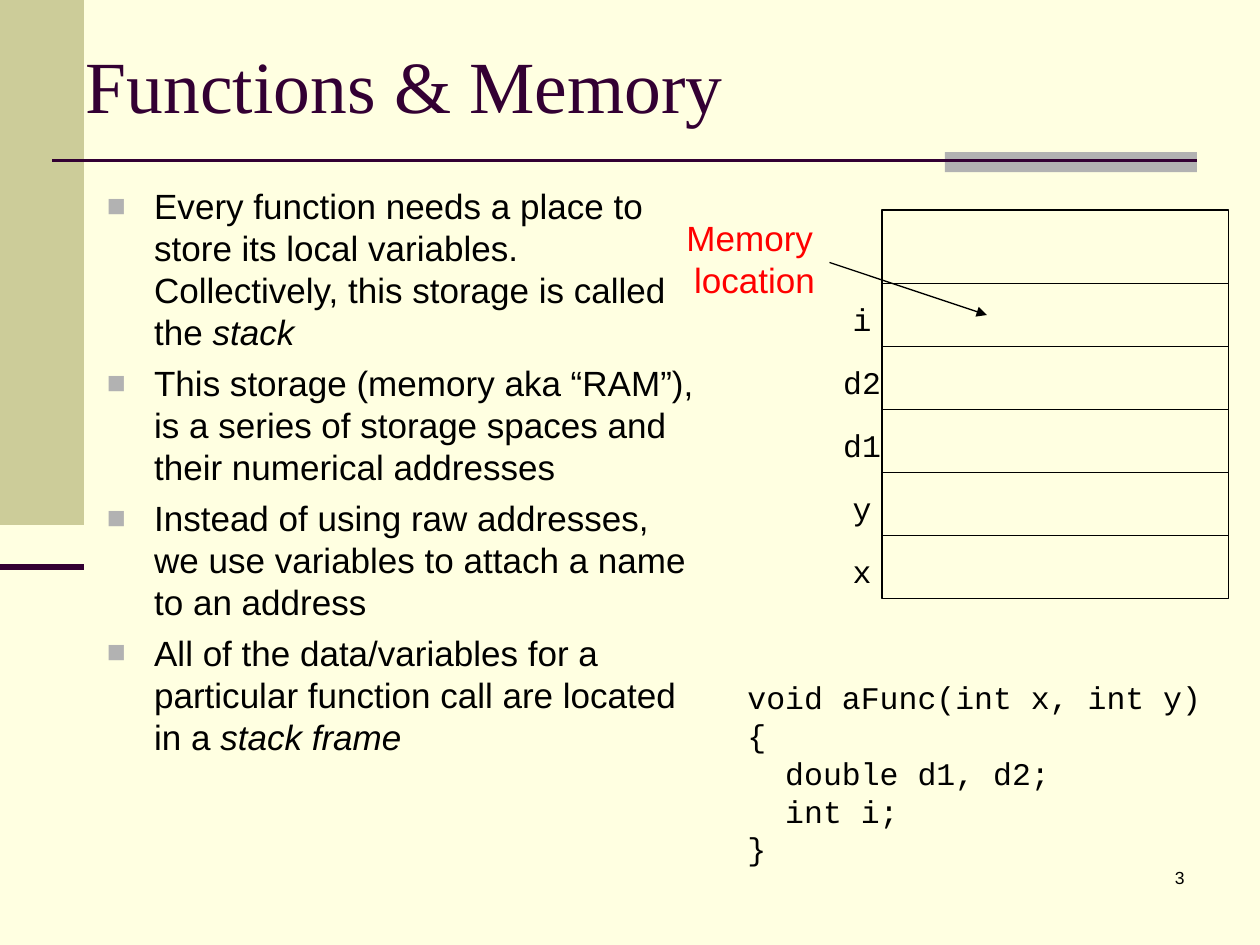
from lxml import etree
from pptx import Presentation
from pptx.dml.color import RGBColor
from pptx.enum.shapes import MSO_CONNECTOR, MSO_SHAPE
from pptx.enum.text import MSO_ANCHOR, PP_ALIGN
from pptx.oxml.ns import qn
from pptx.util import Pt

LEFT, CENTER, RIGHT = PP_ALIGN.LEFT, PP_ALIGN.CENTER, PP_ALIGN.RIGHT
MIDDLE = MSO_ANCHOR.MIDDLE
RECTANGLE, STRAIGHT = MSO_SHAPE.RECTANGLE, MSO_CONNECTOR.STRAIGHT

PX = 7620  # 120 px to the inch
THEME = {
    "background": "FFFFE1", "band": "CCCC99", "accent": "B2B2B2",
    "plum": "330033", "ink": "000000",
    "title": {"name": "Times New Roman", "size": 42, "color": "330033"},
    "body": {"name": "Arial", "size": 20, "color": "000000"},
    "callout": {"name": "Arial", "size": 20, "color": "FF0000"},
    "code": {"name": "Courier New", "size": 18, "color": "000000"},
    "number": {"name": "Arial", "size": 10, "color": "000000"},
}

prs = Presentation()
prs.slide_width, prs.slide_height = 1200 * PX, 900 * PX
slide = prs.slides.add_slide(prs.slide_layouts[6])
slide.background.fill.solid()
slide.background.fill.fore_color.rgb = RGBColor.from_string(THEME["background"])


def add_text(box, paragraphs, style, align=LEFT, wrap=True):
    """Add a text box; each paragraph is a list of (text, italic) runs."""
    frame = slide.shapes.add_textbox(*(v * PX for v in box)).text_frame
    frame.word_wrap = wrap
    for index, runs in enumerate(paragraphs):
        paragraph = frame.paragraphs[0] if index == 0 else frame.add_paragraph()
        paragraph.alignment = align
        for text, italic in runs:
            run = paragraph.add_run()
            run.text = text
            formats = {"name": style["name"], "size": Pt(style["size"]), "italic": italic}
            for attribute, value in formats.items():
                setattr(run.font, attribute, value)
            run.font.color.rgb = RGBColor.from_string(style["color"])
    return frame


def add_line(start, end, color, width):
    line = slide.shapes.add_connector(STRAIGHT, *(v * PX for v in start + end))
    line.line.color.rgb = RGBColor.from_string(color)
    line.line.width = Pt(width)
    etree.SubElement(line._element.spPr, qn("a:effectLst"))
    return line


# Slide decoration
for box, color in [((0, 0, 80, 500), THEME["band"]), ((900, 145, 240, 19), THEME["accent"])]:
    block = slide.shapes.add_shape(RECTANGLE, *(v * PX for v in box))
    block.shadow.inherit = False
    block.fill.solid()
    block.fill.fore_color.rgb = RGBColor.from_string(color)
    block.line.fill.background()
add_line((50, 153), (1140, 153), THEME["plum"], 1.5)
add_line((0, 540), (80, 540), THEME["plum"], 3.5)

title = add_text((70, 30, 1060, 100), [[("Functions & Memory", False)]], THEME["title"])
title.vertical_anchor = MIDDLE

# Bulleted explanation
points = [
    [("Every function needs a place to store its local variables. "
      "Collectively, this storage is called the ", False), ("stack", True)],
    [("This storage (memory aka “RAM”), is a series of storage spaces "
      "and their numerical addresses", False)],
    [("Instead of using raw addresses, we use variables to attach a name "
      "to an address", False)],
    [("All of the data/variables for a particular function call are located in a ", False),
     ("stack frame", True)],
]
body = add_text((90, 170, 590, 750), points, THEME["body"])
for index, paragraph in enumerate(body.paragraphs):
    properties = paragraph._p.get_or_add_pPr()
    properties.set("marL", str(45 * PX))
    properties.set("indent", str(-45 * PX))
    bullet_color = etree.SubElement(properties, qn("a:buClr"))
    etree.SubElement(bullet_color, qn("a:srgbClr"), val=THEME["accent"])
    etree.SubElement(properties, qn("a:buSzPct"), val="90000")
    etree.SubElement(properties, qn("a:buFont"), typeface="Arial")
    etree.SubElement(properties, qn("a:buChar"), char="■")
    if index:
        paragraph.space_before = Pt(5)

callout_lines = ["Memory", " location"]
add_text((640, 200, 148, 92), [[(line, False)] for line in callout_lines],
         THEME["callout"], CENTER, False)

code_lines = ["void aFunc(int x, int y) {", "  double d1, d2;", "  int i;", "}"]
add_text((700, 640, 460, 192), [[(line, False)] for line in code_lines], THEME["code"])

# Stack frame: a taller free cell, then one cell for each variable
stack_left, stack_top, stack_width, stack_height = 840, 200, 330, 370
first_divider, cell_height = 270, 60
stack = slide.shapes.add_shape(
    RECTANGLE, *(v * PX for v in (stack_left, stack_top, stack_width, stack_height)))
stack.shadow.inherit = False
stack.fill.background()
stack.line.color.rgb = RGBColor.from_string(THEME["ink"])
stack.line.width = Pt(0.75)
for index, variable in enumerate(["i", "d2", "d1", "y", "x"]):
    divider = first_divider + index * cell_height
    add_line((stack_left, divider), (stack_left + stack_width, divider), THEME["ink"], 0.75)
    add_text((791, divider + 10, 60, 48), [[(variable, False)]], THEME["code"], CENTER, False)

arrow = add_line((790, 250), (940, 300), THEME["ink"], 0.75)
etree.SubElement(arrow.line._get_or_add_ln(), qn("a:tailEnd"), type="triangle")

add_text((890, 820, 250, 60), [[("3", False)]], THEME["number"], RIGHT)

prs.save("out.pptx")
